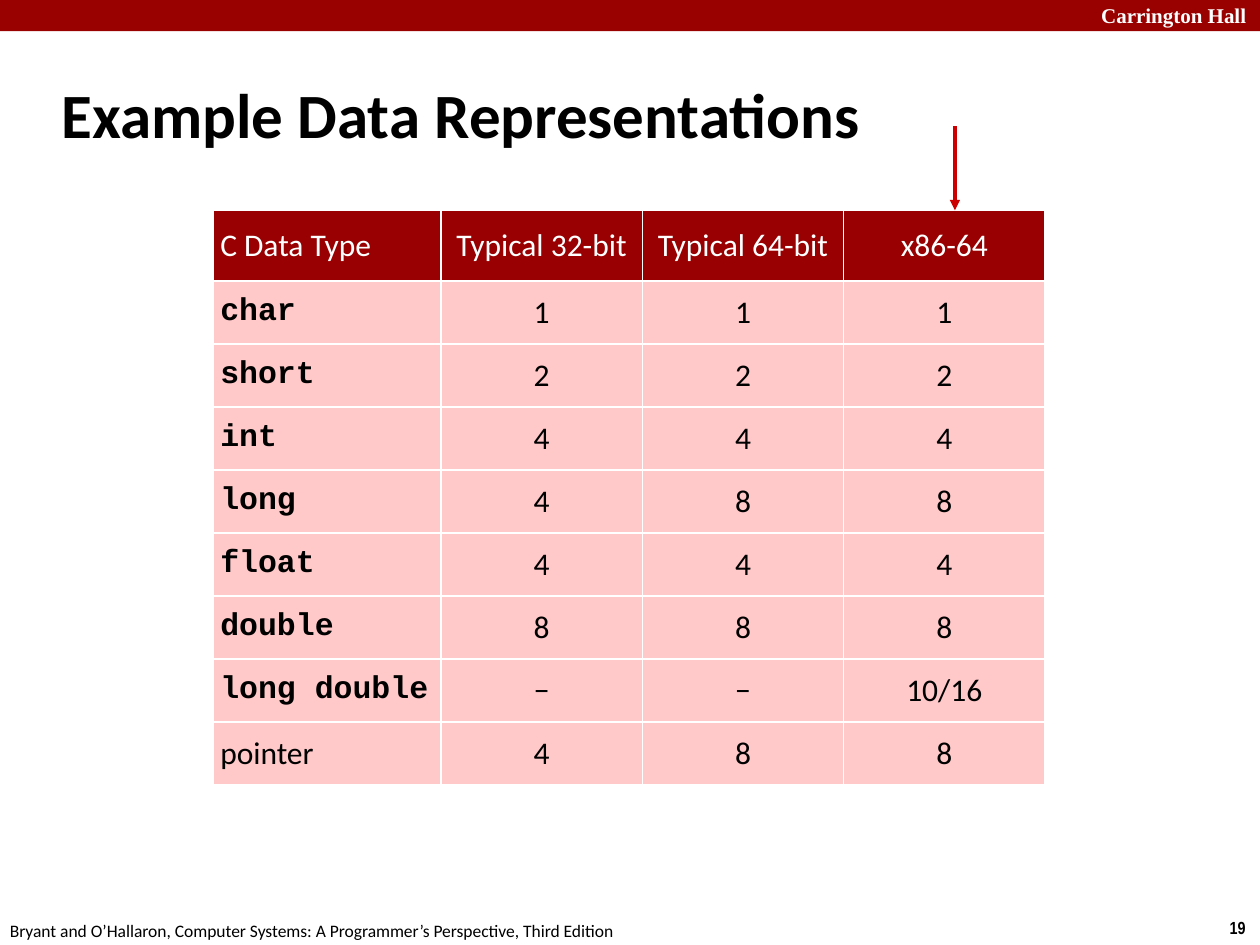
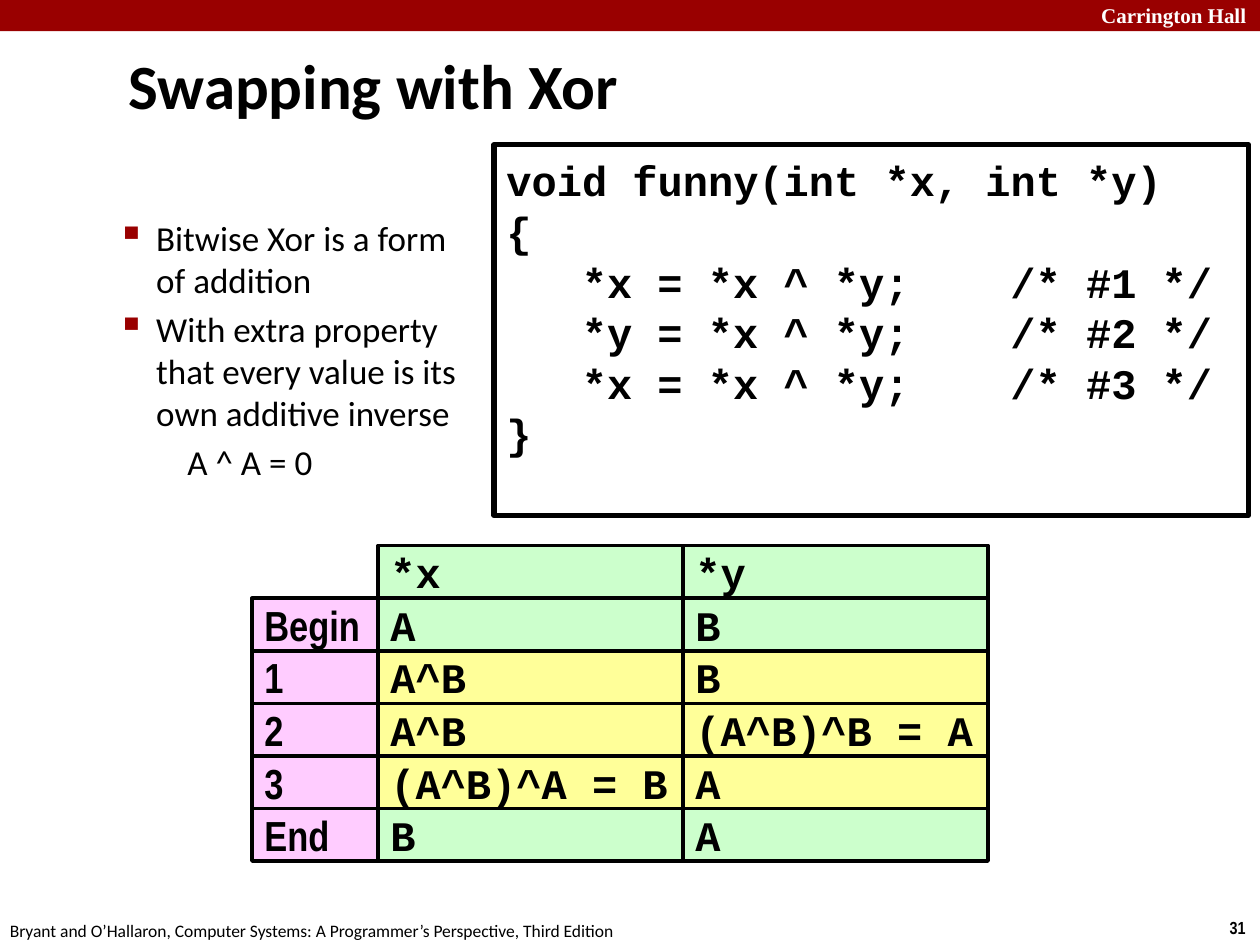
from dataclasses import dataclass

from lxml import etree
from pptx import Presentation
from pptx.dml.color import RGBColor
from pptx.enum.shapes import MSO_CONNECTOR, MSO_SHAPE
from pptx.enum.text import MSO_ANCHOR, MSO_AUTO_SIZE, PP_ALIGN
from pptx.oxml.ns import qn
from pptx.util import Cm, Pt

RECT = MSO_SHAPE.RECTANGLE
STRAIGHT = MSO_CONNECTOR.STRAIGHT
TOP, MIDDLE = MSO_ANCHOR.TOP, MSO_ANCHOR.MIDDLE
LEFT, CENTER = PP_ALIGN.LEFT, PP_ALIGN.CENTER
NO_AUTOFIT = MSO_AUTO_SIZE.NONE

BLACK = RGBColor(0x00, 0x00, 0x00)
WHITE = RGBColor(0xFF, 0xFF, 0xFF)
BAND_RED = RGBColor(0x99, 0x00, 0x00)
HEADER_RED = RGBColor(0x98, 0x00, 0x02)
ARROW_RED = RGBColor(0xCC, 0x00, 0x00)
ROW_PINK = RGBColor(0xFF, 0xC8, 0xC9)
LABEL_PINK = RGBColor(0xFF, 0xCC, 0xFF)
GREEN = RGBColor(0xCC, 0xFF, 0xCC)
YELLOW = RGBColor(0xFF, 0xFF, 0x99)

SANS, NARROW, MONO, SERIF = "Calibri", "Arial Narrow", "Courier New", "Times New Roman"
SCHOOL = "Carrington Hall"
BOOK = "Bryant and O’Hallaron, Computer Systems: A Programmer’s Perspective, Third Edition"


@dataclass(frozen=True)
class Box:
    """Place and size in centimetres."""
    left: float
    top: float
    width: float
    height: float

    def emu(self) -> tuple:
        return Cm(self.left), Cm(self.top), Cm(self.width), Cm(self.height)


@dataclass(frozen=True)
class Style:
    font: str
    size: float
    bold: bool = False
    color: RGBColor = BLACK


@dataclass(frozen=True)
class SwapStep:
    label: str
    x: str
    y: str
    fill: RGBColor


TITLE = Style(SANS, 36, True)
SCHOOL_STYLE = Style(SERIF, 12, True, WHITE)
BOOK_STYLE = Style(SANS, 10)
NUMBER_STYLE = Style(NARROW, 10, True)
HEADER = Style(SANS, 18, color=WHITE)
VALUE = Style(SANS, 18)
TYPE_NAME = Style(MONO, 18, True)
BODY = Style(SANS, 20)
CODE = Style(MONO, 24, True)
STEP_LABEL = Style(NARROW, 24, True)

SIZES = [
    ("C Data Type", "Typical 32-bit", "Typical 64-bit", "x86-64"),
    ("char", "1", "1", "1"),
    ("short", "2", "2", "2"),
    ("int", "4", "4", "4"),
    ("long", "4", "8", "8"),
    ("float", "4", "4", "4"),
    ("double", "8", "8", "8"),
    ("long double", "−", "−", "10/16"),
    ("pointer", "4", "8", "8"),
]
FUNNY = [
    "void funny(int *x, int *y)",
    "{",
    "\t*x = *x ^ *y;\t/* #1 */",
    "\t*y = *x ^ *y;\t/* #2 */",
    "\t*x = *x ^ *y;\t/* #3 */",
    "}",
]
CODE_TABS = (1.52, 10.16)
XOR_POINTS = [
    "Bitwise Xor is a form of addition",
    "With extra property that every value is its own additive inverse",
]
SWAP_STEPS = [
    SwapStep("", "*x", "*y", GREEN),
    SwapStep("Begin", "A", "B", GREEN),
    SwapStep("1", "A^B", "B", YELLOW),
    SwapStep("2", "A^B", "(A^B)^B = A", YELLOW),
    SwapStep("3", "(A^B)^A = B", "A", YELLOW),
    SwapStep("End", "B", "A", GREEN),
]
SWAP_LEFT, SWAP_TOP, STEP_HEIGHT = 5.08, 11.0, 1.06
LABEL_WIDTH, VALUE_WIDTH = 2.54, 6.15


def format_paragraph(p, style: Style, align=LEFT) -> None:
    p.alignment = align
    p.font.name = style.font
    p.font.size = Pt(style.size)
    p.font.bold = style.bold
    p.font.color.rgb = style.color


def write_lines(tf, lines: list[str], style: Style) -> None:
    for i, line in enumerate(lines):
        p = tf.add_paragraph() if i else tf.paragraphs[0]
        p.text = line
        format_paragraph(p, style)


def add_text(slide, box: Box, lines: list[str], style: Style):
    tf = slide.shapes.add_textbox(*box.emu()).text_frame
    tf.word_wrap = True
    tf.margin_right = 0
    write_lines(tf, lines, style)
    return tf


def add_rect(slide, box: Box, fill: RGBColor | None, line_width: float = 0):
    sp = slide.shapes.add_shape(RECT, *box.emu())
    sp.shadow.inherit = False
    if fill is None:
        sp.fill.background()
    else:
        sp.fill.solid()
        sp.fill.fore_color.rgb = fill
    if line_width:
        sp.line.color.rgb = BLACK
        sp.line.width = Pt(line_width)
    else:
        sp.line.fill.background()
    return sp


def add_slide(prs, title: str, title_box: Box, number: int):
    """Add a title-only slide with the band and footers."""
    slide = prs.slides.add_slide(prs.slide_layouts[5])
    add_rect(slide, Box(0, 0, 25.4, 0.63), BAND_RED)
    add_text(slide, Box(21.95, -0.08, 3.63, 0.76), [SCHOOL], SCHOOL_STYLE)
    add_text(slide, Box(24.54, 18.36, 0.86, 0.69), [str(number)], NUMBER_STYLE)
    add_text(slide, Box(-0.05, 18.42, 12.9, 0.69), [BOOK], BOOK_STYLE)

    sp = slide.shapes.title
    sp.left, sp.top, sp.width, sp.height = title_box.emu()
    tf = sp.text_frame
    tf.auto_size = NO_AUTOFIT
    tf.vertical_anchor = MIDDLE
    write_lines(tf, [title], TITLE)
    return slide


def add_size_table(slide) -> None:
    box = Box(4.29, 4.24, 16.78, 11.58)
    table = slide.shapes.add_table(len(SIZES), len(SIZES[0]), *box.emu()).table
    for c, column in enumerate(table.columns):
        column.width = Cm(4.06 if c else 4.6)
    for r, values in enumerate(SIZES):
        table.rows[r].height = Cm(1.27 if r else 1.42)
        for c, value in enumerate(values):
            cell = table.cell(r, c)
            cell.fill.solid()
            cell.fill.fore_color.rgb = ROW_PINK if r else HEADER_RED
            cell.vertical_anchor = MIDDLE
            cell.margin_left = cell.margin_right = Cm(0.15)
            cell.margin_top = cell.margin_bottom = Cm(0.15)
            cell.text = value
            if r == 0:
                style = HEADER
            else:
                style = VALUE if c or value == "pointer" else TYPE_NAME
            format_paragraph(cell.text_frame.paragraphs[0], style, CENTER if c else LEFT)


def add_down_arrow(slide, x: float, top: float, bottom: float) -> None:
    line = slide.shapes.add_connector(STRAIGHT, Cm(x), Cm(top), Cm(x), Cm(bottom))
    line.line.color.rgb = ARROW_RED
    line.line.width = Pt(2)
    etree.SubElement(line.line._get_or_add_ln(), qn("a:tailEnd"), type="triangle")
    etree.SubElement(line._element.spPr, qn("a:effectLst"))


def add_code(slide) -> None:
    tf = add_rect(slide, Box(9.96, 2.92, 15.21, 7.47), None, 3).text_frame
    tf.word_wrap = True
    tf.vertical_anchor = TOP
    tf.margin_top = Cm(0.2)
    write_lines(tf, FUNNY, CODE)
    for p in tf.paragraphs:
        p.line_spacing = Pt(28.9)
        tabs = etree.Element(qn("a:tabLst"))
        for pos in CODE_TABS:
            etree.SubElement(tabs, qn("a:tab"), pos=str(Cm(pos)), algn="l")
        p._p.get_or_add_pPr().find(qn("a:defRPr")).addprevious(tabs)


def add_bullet(p) -> None:
    pPr = p._p.get_or_add_pPr()
    pPr.set("marL", str(Cm(2.06)))
    pPr.set("indent", str(Cm(-0.79)))
    color = etree.Element(qn("a:buClr"))
    etree.SubElement(color, qn("a:srgbClr"), val=str(BAND_RED))
    size = etree.Element(qn("a:buSzPct"), val="110000")
    char = etree.Element(qn("a:buChar"), char="▪")
    for element in (color, size, char):
        pPr.find(qn("a:defRPr")).addprevious(element)


def add_xor_points(slide) -> None:
    box = Box(0.84, 4.24, 8.69, 5.51)
    tf = add_text(slide, box, XOR_POINTS + ["A ^ A = 0"], BODY)
    for p in tf.paragraphs:
        p.space_before = Pt(4)
    *points, formula = tf.paragraphs
    for p in points:
        p.level = 1
        add_bullet(p)
    formula.level = 2
    formula._p.get_or_add_pPr().set("marL", str(Cm(2.69)))


def add_swap_cell(slide, box: Box, text: str, fill: RGBColor, style: Style) -> None:
    tf = add_rect(slide, box, fill, 2).text_frame
    tf.word_wrap = True
    tf.vertical_anchor = MIDDLE
    tf.margin_right = 0
    write_lines(tf, [text], style)


def add_swap_grid(slide) -> None:
    x_left = SWAP_LEFT + LABEL_WIDTH
    for i, step in enumerate(SWAP_STEPS):
        top = SWAP_TOP + i * STEP_HEIGHT
        if step.label:
            label_box = Box(SWAP_LEFT, top, LABEL_WIDTH, STEP_HEIGHT)
            add_swap_cell(slide, label_box, step.label, LABEL_PINK, STEP_LABEL)
        for c, value in enumerate((step.x, step.y)):
            value_box = Box(x_left + c * VALUE_WIDTH, top, VALUE_WIDTH, STEP_HEIGHT)
            add_swap_cell(slide, value_box, value, step.fill, CODE)


def main() -> None:
    prs = Presentation()
    prs.slide_width, prs.slide_height = Cm(25.4), Cm(19.05)

    slide = add_slide(prs, "Example Data Representations", Box(0.99, 1.22, 21.08, 2.11), 19)
    add_size_table(slide)
    add_down_arrow(slide, 19.25, 2.54, 4.24)

    slide = add_slide(prs, "Swapping with Xor", Box(2.34, 0.89, 16.33, 1.6), 31)
    add_code(slide)
    add_xor_points(slide)
    add_swap_grid(slide)

    prs.save("out.pptx")


if __name__ == "__main__":
    main()
